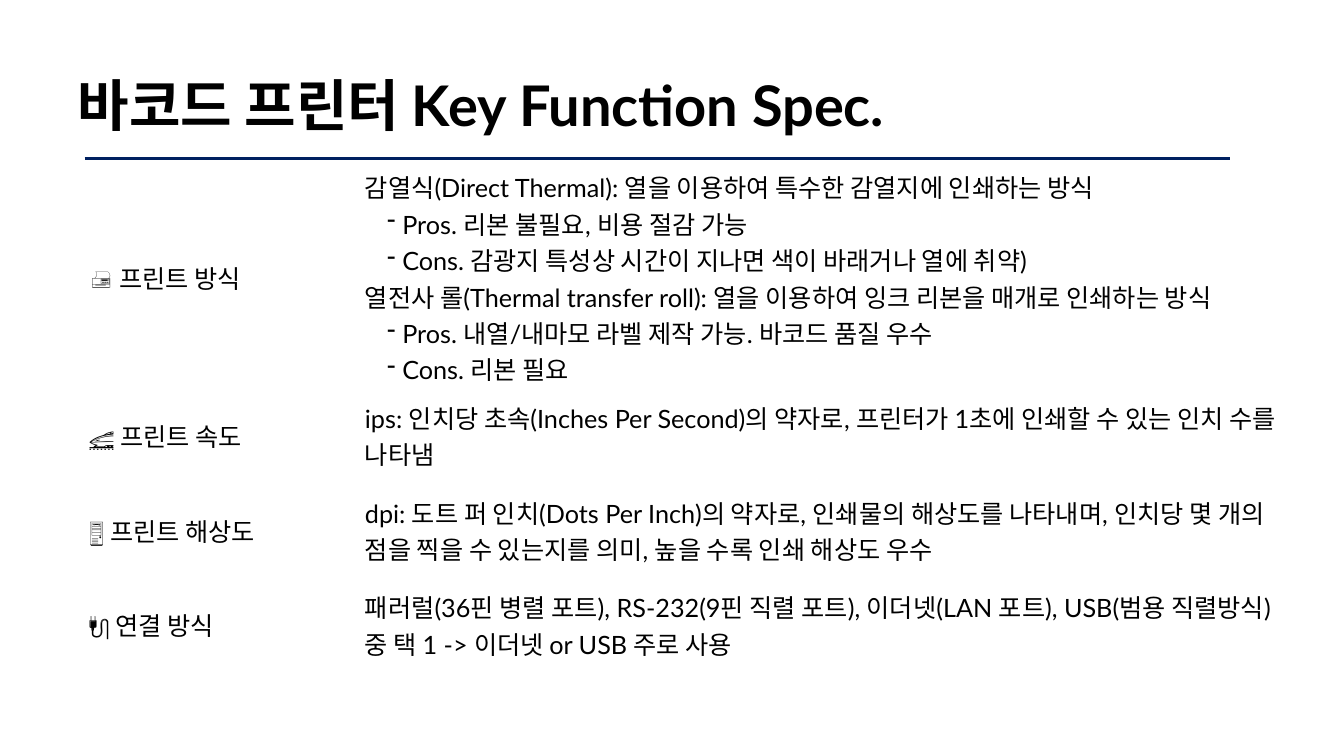
from lxml import etree
from pptx import Presentation
from pptx.dml.color import RGBColor
from pptx.enum.shapes import MSO_CONNECTOR
from pptx.enum.text import MSO_ANCHOR, MSO_AUTO_SIZE, PP_ALIGN
from pptx.oxml.ns import qn
from pptx.util import Inches, Pt

STRAIGHT = MSO_CONNECTOR.STRAIGHT
MIDDLE, BOTTOM = MSO_ANCHOR.MIDDLE, MSO_ANCHOR.BOTTOM
NO_AUTOFIT = MSO_AUTO_SIZE.NONE
LEFT = PP_ALIGN.LEFT

BLACK = RGBColor(0x00, 0x00, 0x00)
NAVY = RGBColor(0x00, 0x20, 0x60)
FONT = "Lato"
TITLE_ONLY = 5

TITLE = "바코드 프린터 Key Function Spec."
TITLE_BOX = (0.67, -0.27, 9.26, 1.7)
RULE_BOX = (0.84, 1.57, 11.36, 0)
SPEC_BOX = (0.83, 1.66, 11.97, 4.98)
LABEL_WIDTH = 2.74
ROW_HEIGHTS = (2.16, 0.94, 0.94, 0.94)

# Each specification: label, then (indent level, line) pairs
SPECS = [
    ("🖨️ 프린트 방식", [
        (0, "감열식(Direct Thermal): 열을 이용하여 특수한 감열지에 인쇄하는 방식"),
        (1, "Pros. 리본 불필요, 비용 절감 가능"),
        (1, "Cons. 감광지 특성상 시간이 지나면 색이 바래거나 열에 취약)"),
        (0, "열전사 롤(Thermal transfer roll): 열을 이용하여 잉크 리본을 매개로 인쇄하는 방식"),
        (1, "Pros. 내열/내마모 라벨 제작 가능. 바코드 품질 우수"),
        (1, "Cons. 리본 필요"),
    ]),
    ("🚄 프린트 속도", [
        (0, "ips: 인치당 초속(Inches Per Second)의 약자로, 프린터가 1초에 인쇄할 수 있는 인치 수를 나타냄"),
    ]),
    ("🖥️ 프린트 해상도", [
        (0, "dpi: 도트 퍼 인치(Dots Per Inch)의 약자로, 인쇄물의 해상도를 나타내며, "
            "인치당 몇 개의 점을 찍을 수 있는지를 의미, 높을 수록 인쇄 해상도 우수"),
    ]),
    ("🔌 연결 방식", [
        (0, "패러럴(36핀 병렬 포트), RS-232(9핀 직렬 포트), 이더넷(LAN 포트), "
            "USB(범용 직렬방식) 중 택 1 -> 이더넷 or USB 주로 사용"),
    ]),
]


def style_font(paragraph, size, bold=False):
    font = paragraph.font
    font.name, font.size, font.bold = FONT, Pt(size), bold
    font.color.rgb = BLACK


def add_dash(paragraph):
    """Give the paragraph a hanging dash bullet."""
    properties = paragraph._p.get_or_add_pPr()
    properties.set("marL", str(Inches(0.37)))
    properties.set("indent", str(Inches(-0.15)))
    etree.SubElement(properties, qn("a:buChar")).set("char", "-")


def fill_title(slide, box):
    title = slide.shapes.title
    title.left, title.top, title.width, title.height = map(Inches, box)
    frame = title.text_frame
    frame.text = TITLE
    frame.vertical_anchor = BOTTOM
    frame.auto_size = NO_AUTOFIT
    heading = frame.paragraphs[0]
    heading.alignment = LEFT
    heading.line_spacing = 0.9
    style_font(heading, 40, bold=True)


def add_rule(slide, box):
    left, top, width, height = map(Inches, box)
    rule = slide.shapes.add_connector(STRAIGHT, left, top, left + width, top + height)
    rule.line.color.rgb = NAVY
    rule.line.width = Pt(2)
    etree.SubElement(rule._element.spPr, qn("a:effectLst"))


def fill_cell(cell, lines):
    cell.fill.background()
    cell.vertical_anchor = MIDDLE
    cell.margin_left = cell.margin_right = Inches(0.05)
    cell.margin_top = cell.margin_bottom = Inches(0.01)
    frame = cell.text_frame
    for index, (level, line) in enumerate(lines):
        paragraph = frame.add_paragraph() if index else frame.paragraphs[0]
        paragraph.text = line
        if level:
            add_dash(paragraph)
        style_font(paragraph, 18)


def add_spec_table(slide, box):
    table = slide.shapes.add_table(len(SPECS), 2, *map(Inches, box)).table
    table.first_row = table.horz_banding = False
    table.columns[0].width = Inches(LABEL_WIDTH)
    table.columns[1].width = Inches(box[2] - LABEL_WIDTH)
    for row, height, (label, details) in zip(table.rows, ROW_HEIGHTS, SPECS):
        row.height = Inches(height)
        fill_cell(row.cells[0], [(0, label)])
        fill_cell(row.cells[1], details)


def main():
    deck = Presentation()
    deck.slide_width, deck.slide_height = Inches(13.33), Inches(7.5)
    slide = deck.slides.add_slide(deck.slide_layouts[TITLE_ONLY])
    fill_title(slide, TITLE_BOX)
    add_spec_table(slide, SPEC_BOX)
    add_rule(slide, RULE_BOX)
    deck.save("out.pptx")


if __name__ == "__main__":
    main()
